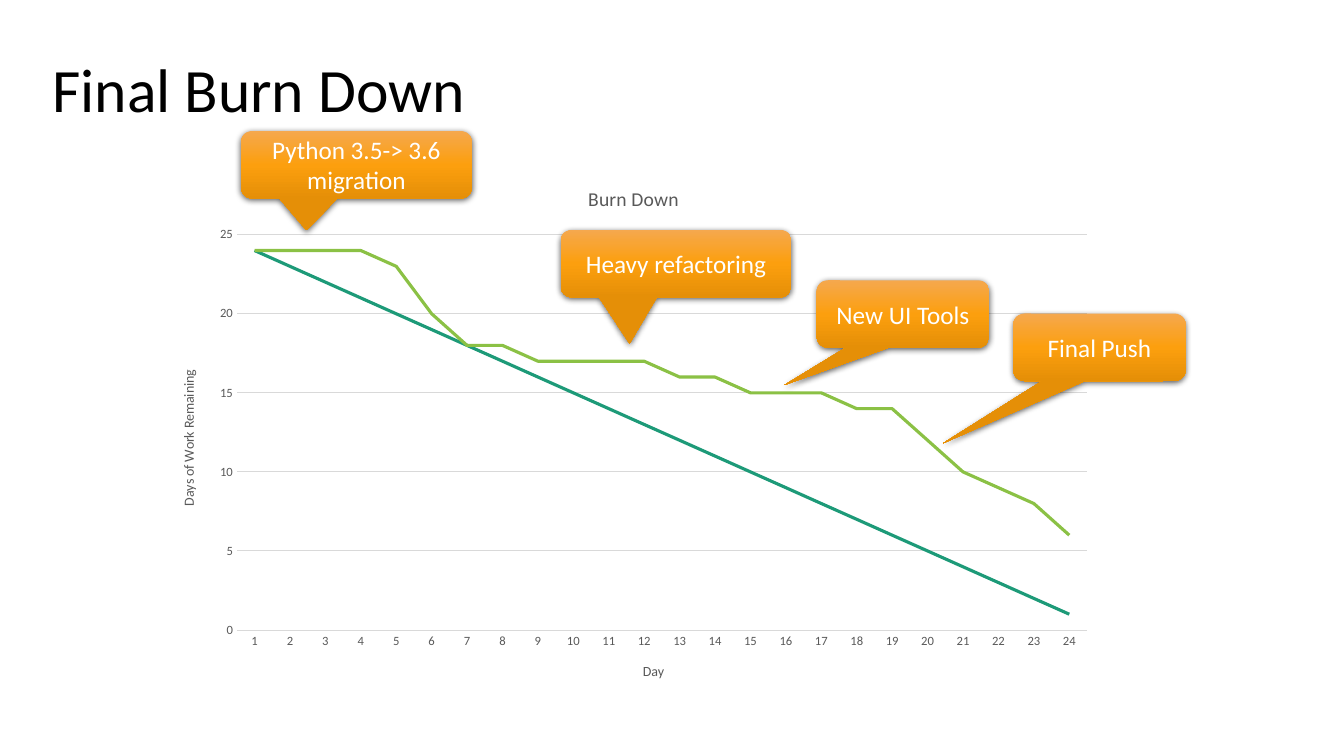
from copy import deepcopy
from pptx import Presentation
from pptx import util as u
from pptx.chart import data
from pptx.dml.color import RGBColor
from pptx.enum import chart as ch, shapes, text
from pptx.oxml import parse_xml
from pptx.oxml.ns import nsdecls, qn

BLACK = RGBColor(0x00, 0x00, 0x00)
WHITE = RGBColor(0xFF, 0xFF, 0xFF)
GREY = RGBColor(0x59, 0x59, 0x59)
PALE = RGBColor(0xD9, 0xD9, 0xD9)
TEAL = RGBColor(0x1D, 0x9A, 0x78)
GREEN = RGBColor(0x8B, 0xC1, 0x45)
AMBERS = (RGBColor(0xF5, 0xA8, 0x4E), RGBColor(0xFC, 0x9F, 0x0E), RGBColor(0xE5, 0x8F, 0x07))

DAYS = range(1, 25)
IDEAL = range(24, 0, -1)
ACTUAL = (24, 24, 24, 24, 23, 20, 18, 18, 17, 17, 17, 17,
          16, 16, 15, 15, 15, 14, 14, 12, 10, 9, 8, 6)
WIDE, SLIM, HIGH = 17.18, 12.83, 8.93
NOTES = (
    ("Python 3.5-> 3.6 migration", 17.93, 17.33, WIDE, (-0.216, 0.973)),
    ("Heavy refactoring", 41.71, 30.4, WIDE, (-0.201, 1.186)),
    ("Final Push", 75.39, 41.47, SLIM, (-0.91, 1.427)),
    ("New UI Tools", 60.77, 37.07, SLIM, (-0.688, 1.053)),
)


class Deck:
    face = "Calibri"

    def __init__(self):
        self.prs = Presentation()
        self.prs.slide_width = u.Inches(13.33)
        self.prs.slide_height = u.Inches(7.5)
        self.slide = self.prs.slides.add_slide(self.prs.slide_layouts[5])

    def box(self, x, y, w, h):
        wide, high = self.prs.slide_width, self.prs.slide_height
        return [int(part * full / 100) for part, full in
                ((x, wide), (y, high), (w, wide), (h, high))]

    def font(self, font, size, tint):
        font.name, font.size, font.bold = self.face, u.Pt(size), False
        font.color.rgb = tint

    def title(self, words, *area):
        head = self.slide.shapes.title
        head.left, head.top, head.width, head.height = self.box(*area)
        frame = head.text_frame
        frame.text = words
        frame.vertical_anchor = text.MSO_ANCHOR.MIDDLE
        para = frame.paragraphs[0]
        para.alignment = text.PP_ALIGN.LEFT
        para.line_spacing = 0.9
        self.font(para.runs[0].font, 44, BLACK)

    def label(self, title, words, size):
        title.text_frame.text = words
        self.font(title.text_frame.paragraphs[0].runs[0].font, size, GREY)

    def axis(self, axis, words):
        self.label(axis.axis_title, words, 10)
        self.font(axis.tick_labels.font, 9, GREY)
        axis.major_tick_mark = axis.minor_tick_mark = ch.XL_TICK_MARK.NONE

    def stroke(self, line, tint, width):
        line.color.rgb = tint
        line.width = u.Pt(width)

    def chart(self, words, series, *area):
        info = data.CategoryChartData()
        info.categories = [str(day) for day in DAYS]
        for name, vals, tint in series:
            info.add_series(name, vals)
        chart = self.slide.shapes.add_chart(
            ch.XL_CHART_TYPE.LINE, *self.box(*area), info).chart
        self.font(chart.font, 10, BLACK)
        chart.has_legend = False
        self.label(chart.chart_title, words, 14)
        chart.chart_title.include_in_layout = False
        days, work = chart.category_axis, chart.value_axis
        self.axis(days, "Day")
        self.stroke(days.format.line, PALE, 0.75)
        self.axis(work, "Days of Work Remaining")
        work.format.line.fill.background()
        work.minimum_scale, work.maximum_scale, work.major_unit = 0, 25, 5
        self.stroke(work.major_gridlines.format.line, PALE, 0.75)
        chart.plots[0].vary_by_categories = False
        for line, (name, vals, tint) in zip(chart.plots[0].series, series):
            line.smooth = False
            line.marker.style = ch.XL_MARKER_STYLE.NONE
            self.stroke(line.format.line, tint, 2.25)
        self.frame(chart, 0.08, 0.13, 0.9, 0.74)

    def frame(self, chart, x, y, w, h):
        plot = chart.plots[0]._element.getparent()
        for old in plot.findall(qn("c:layout")):
            plot.remove(old)
        plot.insert(0, parse_xml(
            f'<c:layout {nsdecls("c")}><c:manualLayout><c:layoutTarget val="inner"/>'
            '<c:xMode val="edge"/><c:yMode val="edge"/>'
            f'<c:x val="{x}"/><c:y val="{y}"/><c:w val="{w}"/><c:h val="{h}"/>'
            '</c:manualLayout></c:layout>'))

    def shade(self, shape):
        shape.fill.gradient()
        shape.fill.gradient_angle = 270
        stops = shape._element.spPr.find(".//" + qn("a:gsLst"))
        stops.insert(1, deepcopy(stops[0]))
        for stop, tint, spot in zip(shape.fill.gradient_stops, AMBERS, (0, 0.5, 1)):
            stop.color.rgb = tint
            stop.position = spot
        shape.line.fill.background()
        shape.shadow.inherit = False
        shape._element.spPr.find(qn("a:effectLst")).append(parse_xml(
            f'<a:outerShdw {nsdecls("a")} blurRad="{u.Pt(4.5)}" dist="{u.Pt(1.5)}" '
            'dir="5400000" algn="ctr" rotWithShape="0"><a:srgbClr val="000000">'
            '<a:alpha val="63000"/></a:srgbClr></a:outerShdw>'))

    def note(self, words, x, y, w, tip):
        shape = self.slide.shapes.add_shape(
            shapes.MSO_SHAPE.ROUNDED_RECTANGULAR_CALLOUT, *self.box(x, y, w, HIGH))
        shape.adjustments[0], shape.adjustments[1] = tip
        self.shade(shape)
        frame = shape.text_frame
        frame.text = words
        frame.word_wrap = True
        frame.vertical_anchor = text.MSO_ANCHOR.MIDDLE
        para = frame.paragraphs[0]
        para.alignment = text.PP_ALIGN.CENTER
        self.font(para.runs[0].font, 18, WHITE)


def main():
    deck = Deck()
    deck.title("Final Burn Down", 3.15, 2.53, 86.27, 19.33)
    deck.chart("Burn Down", (("Series 1", IDEAL, TEAL), ("Series 2", ACTUAL, GREEN)),
               12, 21.87, 70.29, 70.67)
    for note in NOTES:
        deck.note(*note)
    deck.prs.save("out.pptx")


if __name__ == "__main__":
    main()
